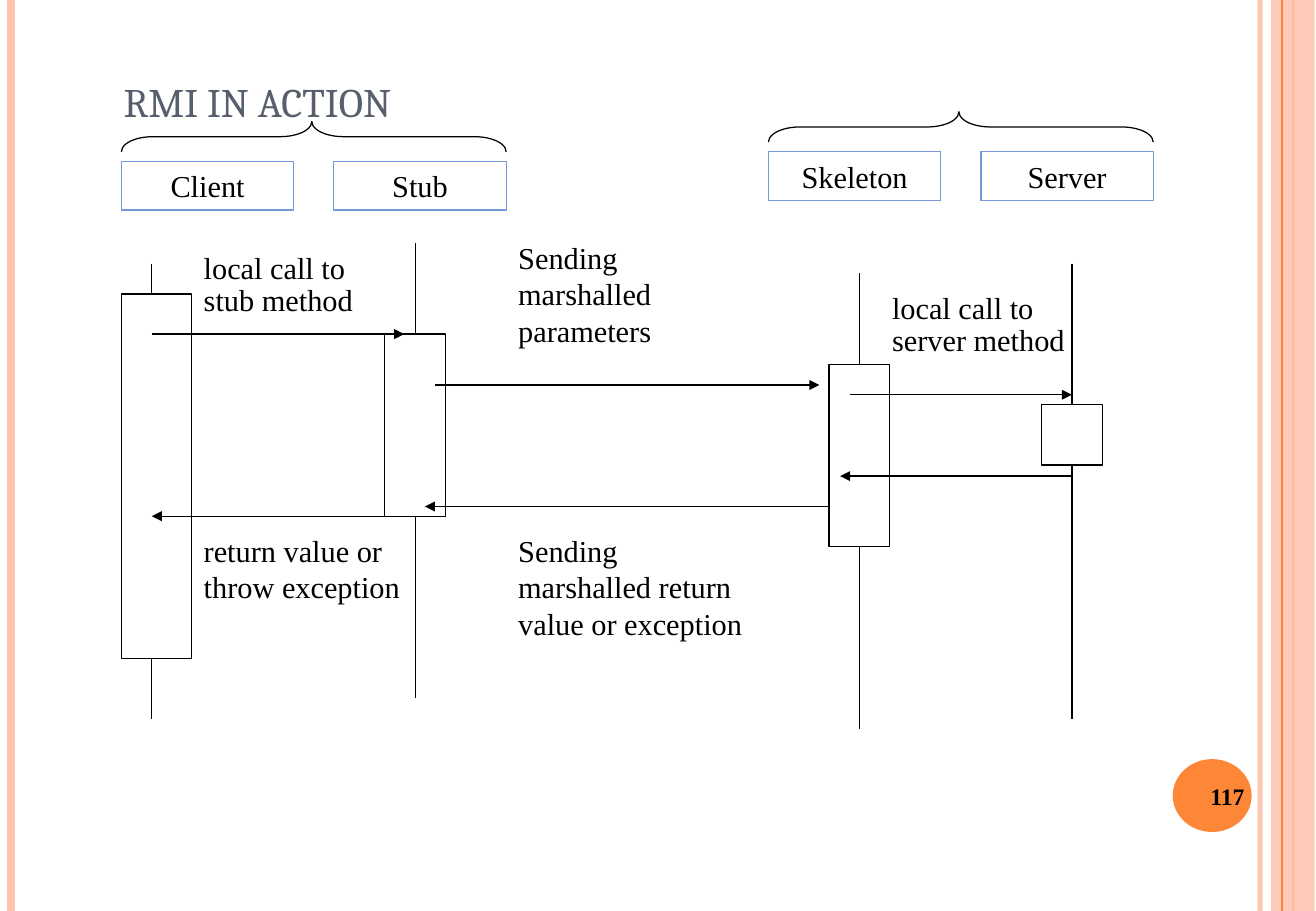
from pptx import Presentation
from pptx.dml.color import RGBColor
from pptx.enum.shapes import MSO_CONNECTOR as Conn, MSO_SHAPE as Shape
from pptx.enum.text import MSO_ANCHOR as Anchor, PP_ALIGN as Align
from pptx.oxml.ns import qn
from pptx.util import Inches, Pt
from lxml.etree import SubElement

COLORS = {"white": "FFFFFF", "black": "000000", "slate": "575F6D",
          "blue": "7598D9", "peach": "FEC3AE", "orange": "FE8637"}
SERIF = "Times New Roman"
LIFELINE = 3.75


def rgb(name):
    return RGBColor.from_string(COLORS[name])


def set_alpha(fill_parent, percent):
    color = fill_parent.find(".//" + qn("a:srgbClr"))
    SubElement(color, qn("a:alpha")).set("val", str(percent * 1000))


def add_line(s, x1, y1, x2, y2, color="black", width=0.75, arrow=False):
    line = s.shapes.add_connector(Conn.STRAIGHT, *map(Inches, (x1, y1, x2, y2)))
    line.line.color.rgb = rgb(color)
    line.line.width = Pt(width)
    if arrow:
        SubElement(line.line._get_or_add_ln(), qn("a:tailEnd")).set("type", "triangle")
    SubElement(line._element.spPr, qn("a:effectLst"))
    return line


def add_block(s, kind, box, fill=None, border=None):
    sp = s.shapes.add_shape(kind, *map(Inches, box))
    sp.shadow.inherit = False
    if fill:
        sp.fill.solid()
        sp.fill.fore_color.rgb = rgb(fill)
    else:
        sp.fill.background()
    if border:
        sp.line.color.rgb = rgb(border)
        sp.line.width = Pt(0.75)
    else:
        sp.line.fill.background()
    return sp


def write(sp, lines, size=18, font=SERIF, color="black", bold=False,
          align=Align.LEFT, anchor=Anchor.TOP):
    tf = sp.text_frame
    tf.word_wrap = True
    tf.vertical_anchor = anchor
    for i, text in enumerate(lines):
        p = tf.add_paragraph() if i else tf.paragraphs[0]
        p.text = text
        p.alignment = align
        if i:
            p.line_spacing = 0.9
        p.font.size, p.font.name, p.font.bold = Pt(size), font, bold
        p.font.color.rgb = rgb(color)


def add_text(s, box, lines, **style):
    write(s.shapes.add_textbox(*map(Inches, box)), lines, **style)


def add_frame(s, width, height):
    # Vertical stripes at both edges
    edge = add_line(s, 10.38, 0, 10.38, height, "peach", 3)
    set_alpha(edge._element.spPr, 93)
    add_line(s, 0.09, 0, 0.09, height, "peach", 4.5)
    add_line(s, 10.65, 0, 10.65, height, "orange", 1.5)
    band = add_block(s, Shape.RECTANGLE, (width - 0.37, 0, 0.36, height), "peach")
    set_alpha(band._element.spPr, 87)
    add_line(s, 10.56, 0, 10.56, height, "orange")
    # Page number
    add_block(s, Shape.OVAL, (9.66, 6.25, 0.65, 0.6), "orange")
    add_text(s, (9.63, 6.27, 0.72, 0.57), ["117"], size=14, bold=True,
             align=Align.RIGHT, anchor=Anchor.MIDDLE)


def add_side(s, left, top, names):
    """Two participants under one brace."""
    span, depth = 3.17, 0.25
    for i, name in enumerate(names):
        box = (left + i * 1.75, top + 0.33, 1.42, 0.4)
        write(add_block(s, Shape.RECTANGLE, box, "white", "blue"), [name],
              align=Align.CENTER)
    brace = add_block(s, Shape.RIGHT_BRACE,
                      (left + (span - depth) / 2, top - (span - depth) / 2, depth, span),
                      border="black")
    brace.rotation = 270
    brace.adjustments[0] = 1.04
    brace.adjustments[1] = 0.495


def add_lifeline(s, x, top, bar_offset, bar_width, bar_height):
    add_line(s, x, top, x, top + LIFELINE)
    add_block(s, Shape.RECTANGLE, (x - 0.25, top + bar_offset, bar_width, bar_height),
              "white", "black")


def add_messages(s, messages):
    for start, end, y in messages:
        add_line(s, start, y, end, y, arrow=True)


def add_sequence(s, left, top):
    client, stub, skeleton, server = (left + dx for dx in (0, 2.17, 5.83, 7.58))
    # Client side, then the calls it takes part in
    add_lifeline(s, client, top + 0.17, 0.25, 0.58, 3)
    add_lifeline(s, stub, top, 0.75, 0.5, 1.5)
    add_messages(s, [(stub - 0.25, client, top + 2.25),
                     (client, stub - 0.09, top + 0.75),
                     (stub + 0.16, skeleton - 0.33, top + 1.17),
                     (skeleton - 0.08, stub + 0.08, top + 2.17)])
    # Server side, then its local call
    add_lifeline(s, skeleton, top + 0.25, 0.75, 0.5, 1.5)
    add_lifeline(s, server, top + 0.17, 1.16, 0.5, 0.5)
    add_messages(s, [(server, skeleton - 0.16, top + 1.92),
                     (skeleton - 0.08, server, top + 1.25)])
    # Message labels
    labels = [(0.33, 0, 1.5, 0.67, ["local call to", "stub method"]),
              (6, 0.33, 1.83, 0.67, ["local call to", "server method"]),
              (2.92, -0.08, 2.08, 1, ["Sending marshalled parameters"]),
              (0.33, 2.33, 2, 0.7, ["return value or throw exception"]),
              (2.92, 2.33, 2.08, 1, ["Sending marshalled return value or exception"])]
    for dx, dy, width, height, lines in labels:
        add_text(s, (left + dx, top + dy, width, height), lines)


def main():
    prs = Presentation()
    prs.slide_width, prs.slide_height = Inches(10.84), Inches(7.5)
    s = prs.slides.add_slide(prs.slide_layouts[6])
    add_frame(s, 10.84, 7.5)
    add_text(s, (0.92, 0, 8.5, 1.08), ["RMI IN ACTION"], size=24, font="Cambria",
             color="slate", anchor=Anchor.BOTTOM)
    add_side(s, 1, 1, ["Client", "Stub"])
    add_side(s, 6.33, 0.92, ["Skeleton", "Server"])
    add_sequence(s, 1.25, 2)
    prs.save("out.pptx")


if __name__ == "__main__":
    main()
